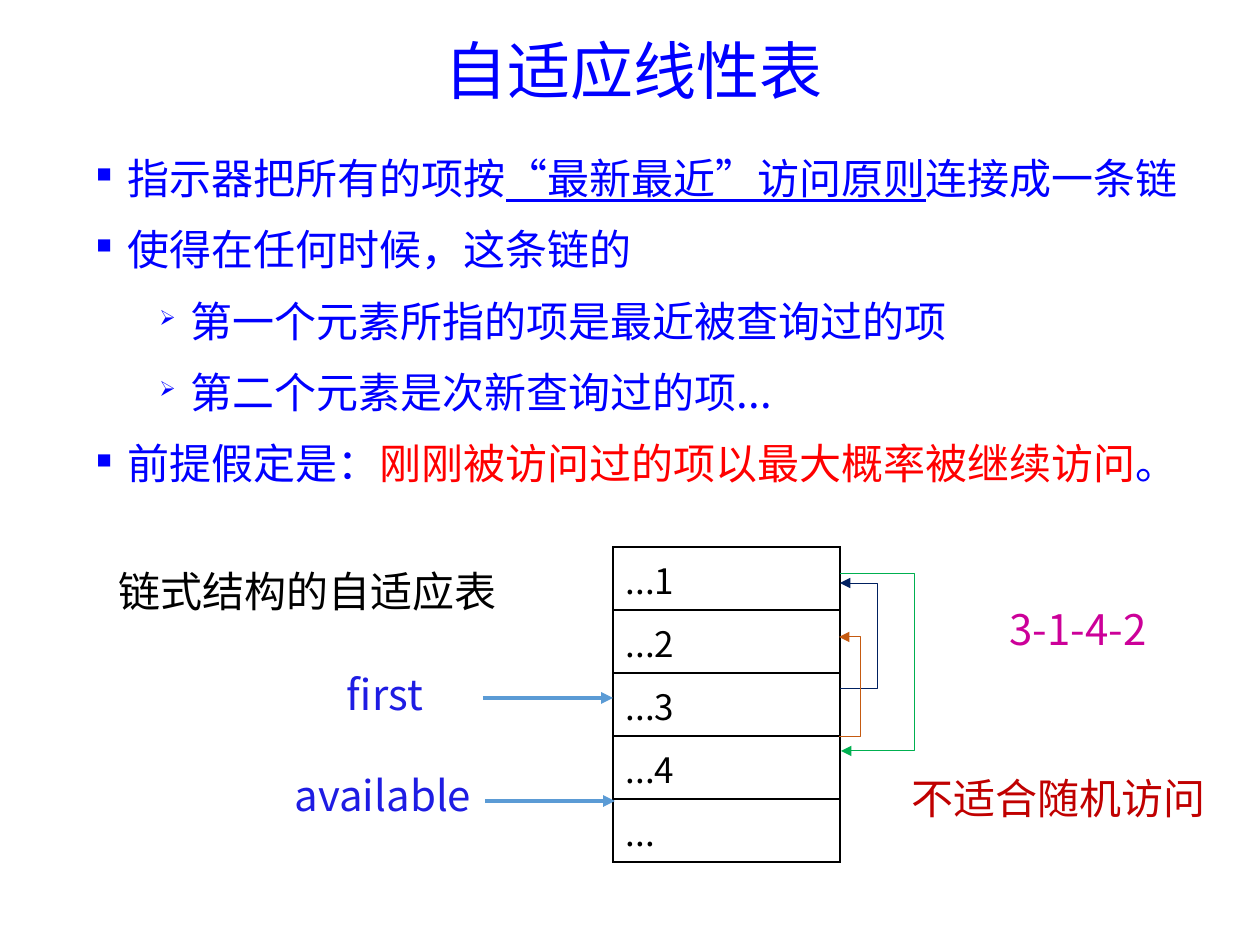
from lxml.etree import SubElement
from pptx import Presentation
from pptx.dml.color import RGBColor
from pptx.enum.shapes import MSO_CONNECTOR as Connector
from pptx.enum.text import MSO_ANCHOR as Anchor, PP_ALIGN as Align
from pptx.oxml.ns import qn
from pptx.util import Pt

PX = 914400 / 126  # EMU in one px

BLUE = RGBColor(0x00, 0x00, 0xFF)
RED = RGBColor(0xFF, 0x00, 0x00)
BLACK = RGBColor(0x00, 0x00, 0x00)
LABEL_BLUE = RGBColor(0x1E, 0x1C, 0xE3)
DARK_RED = RGBColor(0xC0, 0x00, 0x00)
MAGENTA = RGBColor(0xCC, 0x00, 0x99)
POINTER_BLUE = RGBColor(0x5B, 0x9B, 0xD5)
NAVY = RGBColor(0x00, 0x20, 0x60)
GREEN = RGBColor(0x00, 0xB0, 0x50)
ORANGE = RGBColor(0xC5, 0x5A, 0x11)
JP, SC = "Noto Sans CJK JP", "Noto Sans CJK SC"


def emu(*lengths):
    return [round(length * PX) for length in lengths]


def write(paragraph, text, size, color, face=SC, **formats):
    run = paragraph.add_run()
    run.text = text
    for key, value in {"size": Pt(size), "name": face, **formats}.items():
        setattr(run.font, key, value)
    run.font.color.rgb = color
    SubElement(run.font._element, qn("a:ea"), typeface=face)


prs = Presentation()
prs.slide_width, prs.slide_height = emu(1260, 945)
slide = prs.slides.add_slide(prs.slide_layouts[6])
shapes = slide.shapes

# Title and labels around the table
labels = [
    ("自适应线性表", (91, 32, 1086, 84), 36, BLUE, JP, 0.9),
    ("available", (243, 757, 280, 76), 24, LABEL_BLUE, SC, 1.0),
    ("first", (284, 664, 202, 59), 24, LABEL_BLUE, SC, 1.0),
    ("链式结构的自适应表", (82, 553, 451, 76), 24, BLACK, SC, 1.0),
    ("不适合随机访问", (891, 760, 335, 76), 24, DARK_RED, SC, 1.0),
    ("3-1-4-2", (977, 599, 202, 59), 24, MAGENTA, SC, 1.0),
]
for text, area, size, color, face, spacing in labels:
    frame = shapes.add_textbox(*emu(*area)).text_frame
    for key, value in {"word_wrap": True, "vertical_anchor": Anchor.MIDDLE}.items():
        setattr(frame, key, value)
    line = frame.paragraphs[0]
    for key, value in {"alignment": Align.CENTER, "line_spacing": spacing}.items():
        setattr(line, key, value)
    write(line, text, size, color, face)

# Bulleted principles: level, then text with colour and underline
principles = [
    (0, [("指示器把所有的项按", BLUE, False), ("“最新最近”访问原则", BLUE, True),
         ("连接成一条链", BLUE, False)]),
    (0, [("使得在任何时候，这条链的", BLUE, False)]),
    (1, [("第一个元素所指的项是最近被查询过的项", BLUE, False)]),
    (1, [("第二个元素是次新查询过的项...", BLUE, False)]),
    (0, [("前提假定是：", BLUE, False),
         ("刚刚被访问过的项以最大概率被继续访问", RED, False), ("。", BLUE, False)]),
]
body = shapes.add_textbox(*emu(84, 146, 1110, 372)).text_frame
body.word_wrap = True
for index, (level, parts) in enumerate(principles):
    item = body.add_paragraph() if index else body.paragraphs[0]
    item.level = level
    item.space_after = Pt(6)
    if index:
        item.space_before = Pt(6)
    props = item._p.get_or_add_pPr()
    indent = 228600
    props.set("marL", str(indent * (1 + 2 * level)))
    props.set("indent", str(-indent))
    SubElement(props, qn("a:buSzPct"), val="50000")
    SubElement(props, qn("a:buChar"), char="■➢"[level])
    for text, color, underline in parts:
        write(item, text, 24, color, underline=underline)

# Table of list entries
entries = ["...1", "...2", "...3", "...4", "..."]
ROW = 63
table = shapes.add_table(len(entries), 1, *emu(613, 547, 227, ROW * len(entries))).table
for flag in ("first_row", "horz_banding"):
    setattr(table, flag, False)
for row, entry in enumerate(entries):
    cell = table.cell(row, 0)
    write(cell.text_frame.paragraphs[0], entry, 20, BLACK)
    cell_props = cell._tc.get_or_add_tcPr()
    for side in ("lnL", "lnR", "lnT", "lnB"):
        border = SubElement(cell_props, qn(f"a:{side}"), w=str(Pt(1)))
        paint = SubElement(border, qn("a:solidFill"))
        SubElement(paint, qn("a:srgbClr"), val=str(BLACK))
    cell.fill.background()

# Pointers from the labels into the table
arrows = []
for left, right, y in [(485, 615, 801), (483, 613, 698)]:
    pointer = shapes.add_connector(Connector.STRAIGHT, *emu(left, y, right, y))
    SubElement(pointer._element.spPr, qn("a:effectLst"))
    arrows.append((pointer, POINTER_BLUE, 2.25))

# Links of the chain 3-1-4-2: start, bend and end
links = [
    ((840, 688), 878, (840, 583), NAVY),
    ((840, 573), 915, (841, 751), GREEN),
    ((839, 736), 860, (839, 637), ORANGE),
]
for start, bend, end, color in links:
    builder = shapes.build_freeform(*start, scale=PX)
    builder.add_line_segments([(bend, start[1]), (bend, end[1]), end], close=False)
    link = builder.convert_to_shape()
    link.fill.background()
    link.shadow.inherit = False
    arrows.append((link, color, 0.5))

for arrow, color, width in arrows:
    arrow.line.color.rgb = color
    arrow.line.width = Pt(width)
    SubElement(arrow.line._get_or_add_ln(), qn("a:tailEnd"), type="triangle")

prs.save("out.pptx")
